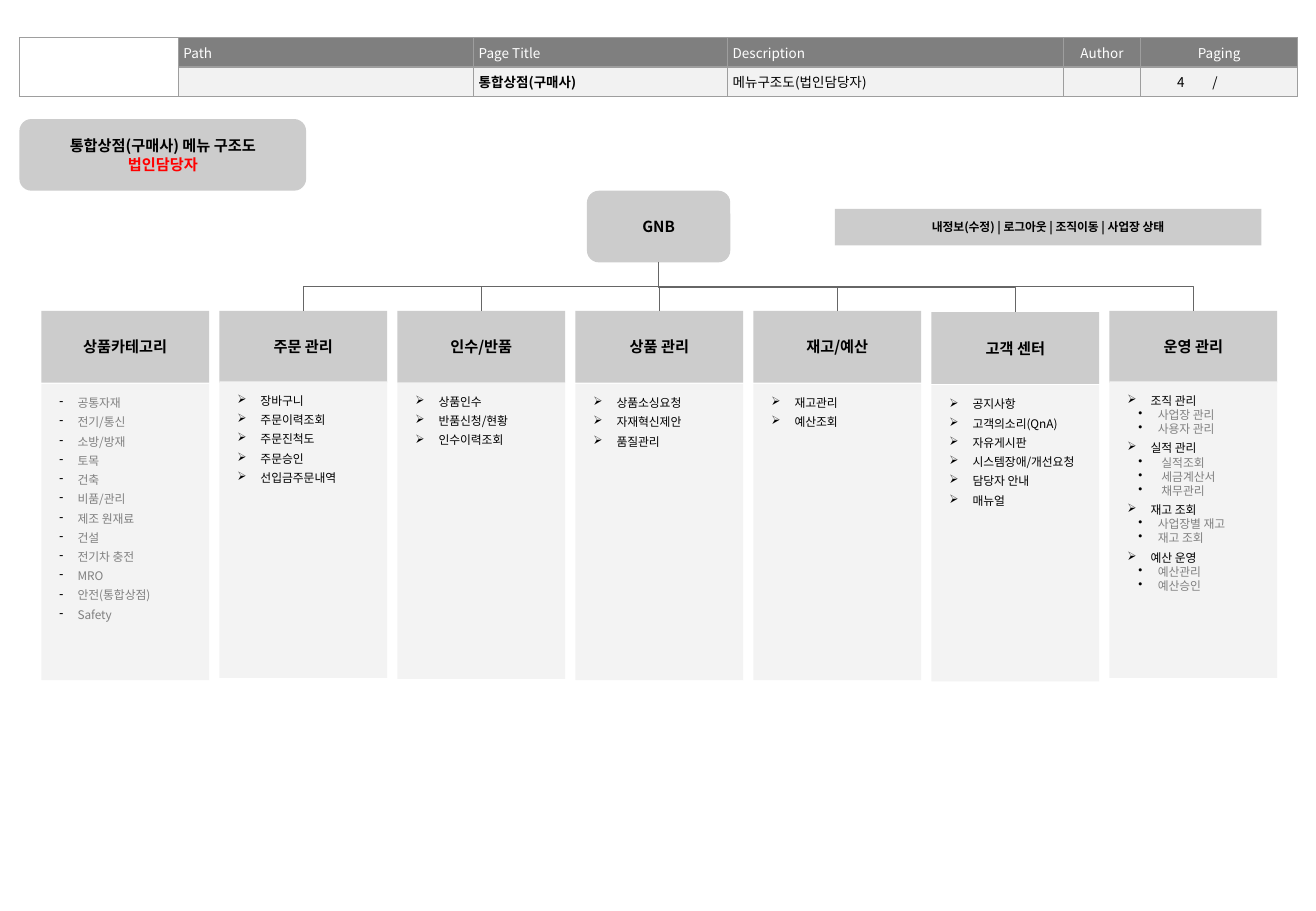
from lxml import etree
from pptx import Presentation
from pptx import util as u
from pptx.dml import color
from pptx.enum import shapes, text
from pptx.oxml import ns

FONT = "Noto Sans CJK KR"
GREY, PALE, MUTED, BLACK = "CCCCCC", "F3F3F3", "808080", "000000"
CENTER, RIGHT = text.PP_ALIGN.CENTER, text.PP_ALIGN.RIGHT
STYLES = {
    "dash": ("-", 0.2, 0.15, 3, MUTED),
    "arrow": ("➢", 0.24, 0.19, 3, BLACK),
    "dot": ("•", 0.3, 0.16, 0, MUTED),
    "wide dot": ("•", 0.33, 0.19, 0, MUTED),
}


def paint(target, value):
    if hasattr(target, "solid"):
        target.solid()
        target = target.fore_color
    target.rgb = color.RGBColor.from_string(value)


def child(parent, tag, **attributes):
    return etree.SubElement(parent, ns.qn(tag), **attributes)


def write(para, words, size, shade=BLACK, bold=False, align=None):
    span = para.add_run()
    span.text = words
    span.font.size = u.Pt(size)
    span.font.bold = bold
    span.font.name = FONT
    paint(span.font.color, shade)
    child(span.font._element, "a:ea", typeface=FONT)
    if align is not None:
        para.alignment = align


def prepare(frame, anchor):
    frame.word_wrap = True
    frame.auto_size = text.MSO_AUTO_SIZE.NONE
    frame.vertical_anchor = anchor
    frame.margin_left = frame.margin_right = u.Inches(0.1)
    frame.margin_top = frame.margin_bottom = u.Inches(0.1)


def write_lines(frame, lines, size):
    prepare(frame, text.MSO_ANCHOR.MIDDLE)
    for index, (words, shade) in enumerate(lines):
        para = frame.add_paragraph() if index else frame.paragraphs[0]
        para.line_spacing = u.Pt(size * 1.2)
        write(para, words, size, shade, True, CENTER)


def add_panel(page, box, fill, corner=0):
    panel = page.shapes.add_shape(
        shapes.MSO_SHAPE.ROUNDED_RECTANGLE, *map(u.Inches, box))
    panel.adjustments[0] = corner
    panel.shadow.inherit = False
    paint(panel.fill, fill)
    panel.line.fill.background()
    return panel


def add_label(page, box, words, size, corner=0):
    panel = add_panel(page, box, GREY, corner)
    write_lines(panel.text_frame, [(words, BLACK)], size)
    return panel


def add_title(page, box):
    add_panel(page, box, GREY, 0.167)
    title = page.shapes.title
    title.left, title.top, title.width, title.height = map(u.Inches, box)
    write_lines(title.text_frame, [("통합상점(구매사) 메뉴 구조도", BLACK),
                                   ("법인담당자", "FF0000")], 9)
    page.shapes._spTree.append(title._element)


def add_menu(page, box, heading, items):
    left, top, width, body_top = box
    header = add_label(page, (left, top, width, 0.59), heading, 9)
    body = add_panel(page, (left, body_top, width, 2.44), PALE)
    frame = body.text_frame
    prepare(frame, text.MSO_ANCHOR.TOP)
    for index, (words, style) in enumerate(items):
        mark, margin, hang, before, shade = STYLES[style]
        para = frame.add_paragraph() if index else frame.paragraphs[0]
        properties = para._p.get_or_add_pPr()
        properties.set("marL", str(u.Inches(margin)))
        properties.set("indent", str(-u.Inches(hang)))
        child(child(properties, "a:buClr"), "a:srgbClr", val=BLACK)
        child(properties, "a:buChar", char=mark)
        para.line_spacing = u.Pt(8.4)
        if index and before:
            para.space_before = u.Pt(before)
        write(para, words, 7, shade, align=text.PP_ALIGN.LEFT)
    return header


def add_branch(page, root, header):
    start_x, start_y = root.left + root.width // 2, root.top + root.height
    end_x, end_y = header.left + header.width // 2, header.top
    branch = page.shapes.add_connector(
        shapes.MSO_CONNECTOR.ELBOW, start_x, start_y, end_x, end_y)
    branch.begin_connect(root, 2)
    branch.end_connect(header, 0)
    drop, reach = end_y - start_y, abs(end_x - start_x)
    branch.left = (start_x + end_x - drop) // 2
    branch.top = (start_y + end_y - reach) // 2
    branch.width, branch.height = drop, reach
    leftward = end_x < start_x
    frame = branch._element.spPr.find(ns.qn("a:xfrm"))
    frame.set("rot", "5400000" if leftward else "16200000")
    frame.set("flipH", "0" if leftward else "1")
    frame.set("flipV", "0")
    paint(branch.line.fill, "666666")
    branch.line.width = u.Pt(0.75)
    child(branch._element.spPr, "a:effectLst")


def set_borders(cell, sides):
    properties = cell._tc.get_or_add_tcPr()
    for index, side in enumerate("LRTB"):
        border = etree.Element(ns.qn("a:ln" + side), w="9525")
        if side in sides:
            child(child(border, "a:solidFill"), "a:srgbClr", val="9E9E9E")
        else:
            child(border, "a:noFill")
        properties.insert(index, border)


def add_page_header(page, box):
    widths = [1.31, 2.43, 2.09, 2.76, 0.64, 0.4, 0.42, 0.47]
    rows = [["", "Path", "Page Title", "Description", "Author", "Paging", "", ""],
            ["", "", "통합상점(구매사)", "메뉴구조도(법인담당자)", "", "4", "/", ""]]
    aligns = {(0, 4): CENTER, (0, 5): CENTER, (1, 5): RIGHT, (1, 6): CENTER}
    sides = {(1, 5): "LTB", (1, 6): "TB", (1, 7): "RTB"}
    grid = page.shapes.add_table(2, 8, *map(u.Inches, box)).table
    grid.first_row = grid.horz_banding = False
    for column, width in zip(grid.columns, widths):
        column.width = u.Inches(width)
    for row_index, row in enumerate(rows):
        grid.rows[row_index].height = u.Inches(box[3] / 2)
        for column_index, words in enumerate(row):
            place = row_index, column_index
            cell = grid.cell(*place)
            cell.vertical_anchor = text.MSO_ANCHOR.MIDDLE
            cell.margin_left = cell.margin_right = u.Inches(0.02 if words == "/" else 0.04)
            cell.margin_top = cell.margin_bottom = u.Inches(0.04)
            paint(cell.fill, "FFFFFF" if not column_index else ("7F7F7F", "F2F2F2")[row_index])
            set_borders(cell, sides.get(place, "LRTB"))
            para = cell.text_frame.paragraphs[0]
            if words:
                write(para, words, 8, (BLACK if row_index else "FFFFFF"),
                      place == (1, 2), aligns.get(place))
            else:
                child(para._p, "a:endParaRPr", sz="800")
    grid.cell(0, 0).merge(grid.cell(1, 0))
    grid.cell(0, 5).merge(grid.cell(0, 7))


def listed(style, *names):
    return [(name, style) for name in names]


MENUS = [
    ("상품카테고리", 2.56, 3.16, listed(
        "dash", "공통자재", "전기/통신", "소방/방재", "토목", "건축", "비품/관리",
        "제조 원재료", "건설", "전기차 충전", "MRO", "안전(통합상점)", "Safety")),
    ("주문 관리", 2.56, 3.14, listed(
        "arrow", "장바구니", "주문이력조회", "주문진척도", "주문승인", "선입금주문내역")),
    ("인수/반품", 2.56, 3.15, listed("arrow", "상품인수", "반품신청/현황", "인수이력조회")),
    ("상품 관리", 2.56, 3.16, listed("arrow", "상품소싱요청", "자재혁신제안", "품질관리")),
    ("재고/예산", 2.56, 3.16, listed("arrow", "재고관리", "예산조회")),
    ("고객 센터", 2.57, 3.17, listed(
        "arrow", "공지사항", "고객의소리(QnA)", "자유게시판", "시스템장애/개선요청",
        "담당자 안내", "매뉴얼")),
    ("운영 관리", 2.56, 3.14,
     listed("arrow", "조직 관리") + listed("dot", "사업장 관리", "사용자 관리")
     + listed("arrow", "실적 관리") + listed("wide dot", "실적조회", "세금계산서", "채무관리")
     + listed("arrow", "재고 조회") + listed("dot", "사업장별 재고", "재고 조회")
     + listed("arrow", "예산 운영") + listed("dot", "예산관리", "예산승인")),
]


def main():
    deck = Presentation()
    deck.slide_width, deck.slide_height = u.Inches(10.83), u.Inches(7.5)
    page = deck.slides.add_slide(deck.slide_layouts[5])
    add_page_header(page, (0.16, 0.31, 10.51, 0.48))
    add_title(page, (0.16, 0.98, 2.36, 0.59))
    root = add_label(page, (4.83, 1.57, 1.18, 0.59), "GNB", 9, 0.167)
    add_label(page, (6.87, 1.72, 3.51, 0.3),
              "내정보(수정) | 로그아웃 | 조직이동 | 사업장 상태", 7)
    for index, (heading, top, body_top, items) in enumerate(MENUS):
        left = 0.34 + 1.465 * index
        header = add_menu(page, (left, top, 1.38, body_top), heading, items)
        if index:
            add_branch(page, root, header)
    deck.save("out.pptx")


if __name__ == "__main__":
    main()
